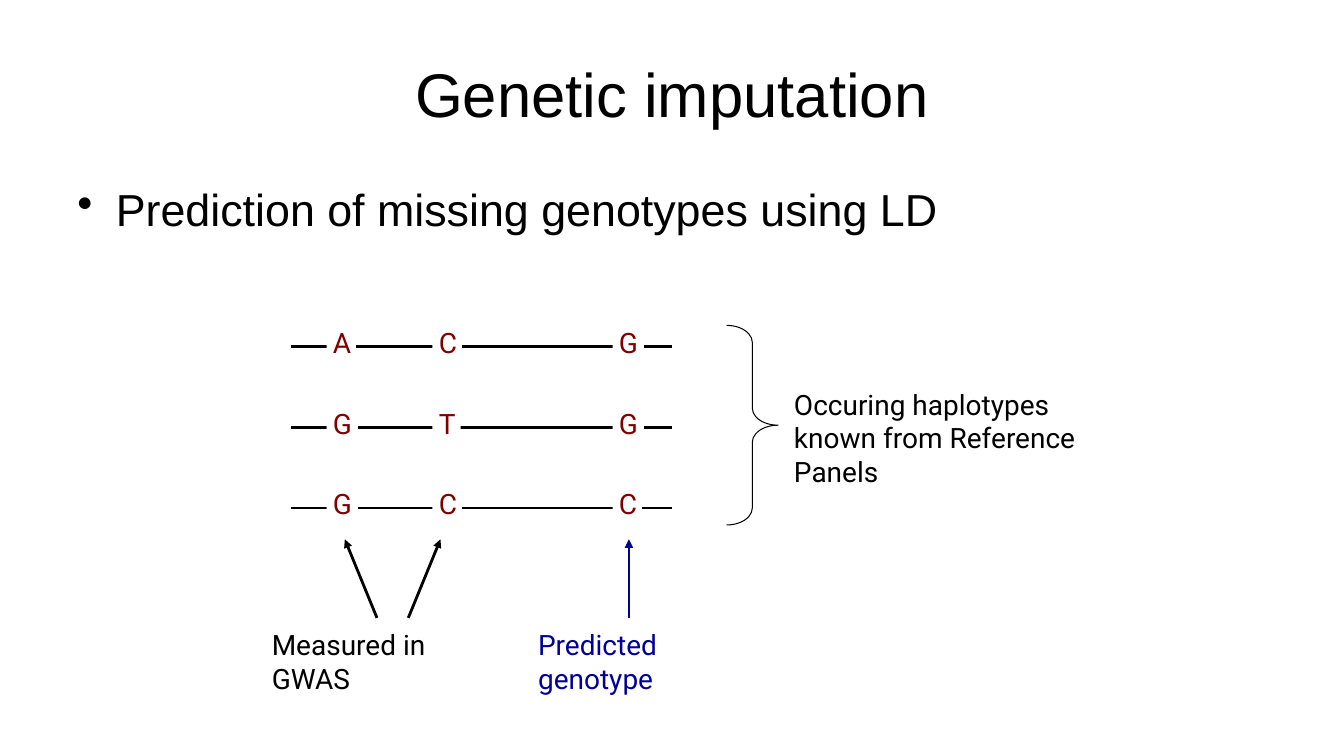
"""Build the slide that explains genetic imputation from reference haplotypes."""

import dataclasses
import typing

import lxml.etree
import pptx
import pptx.dml.color
import pptx.enum.shapes
import pptx.enum.text
import pptx.oxml.ns
import pptx.shapes.autoshape
import pptx.shapes.shapetree
import pptx.text.text
import pptx.util

Cm = pptx.util.Cm
Pt = pptx.util.Pt
qn = pptx.oxml.ns.qn
Shapes = pptx.shapes.shapetree.SlideShapes


@dataclasses.dataclass(frozen=True)
class Theme:
    """Colours, fonts and sizes of the slide."""

    ink: str = "000000"
    paper: str = "FFFFFF"
    allele: str = "800000"
    predicted: str = "000099"
    heading_font: str = "Arial"
    label_font: str = "Roboto"
    title_size: float = 44
    bullet_size: float = 32
    label_size: float = 20
    strand_width: float = 2
    brace_width: float = 0.75


@dataclasses.dataclass(frozen=True)
class Label:
    """A caption with its box in centimetres."""

    lines: tuple[str, ...]
    left: float
    top: float
    width: float
    height: float
    color: str


@dataclasses.dataclass(frozen=True)
class Arrow:
    """A pointer from a caption up to a marker."""

    start_x: float
    end_x: float
    color: str


THEME = Theme()
HAPLOTYPES = ("ACG", "GTG", "GCC")
MARKER_LEFTS = (8.23, 10.9, 15.44)
ALLELE_WIDTHS = {"A": 0.74, "C": 0.74, "G": 0.79, "T": 0.71}
STRAND_LEFT, STRAND_RIGHT = 7.34, 16.94
STRAND_TOP, STRAND_PITCH = 8.74, 2.03
ARROW_BOTTOM, ARROW_TOP = 15.57, 13.59
ARROWS = (
    Arrow(9.5, 8.69, THEME.ink),
    Arrow(10.29, 11.1, THEME.ink),
    Arrow(15.85, 15.85, THEME.predicted),
)
LABELS = (
    Label(("Measured in GWAS",), 6.6, 15.7, 4.83, 1.95, THEME.ink),
    Label(("Predicted genotype",), 13.31, 15.7, 4.83, 1.95, THEME.predicted),
    Label(("Occuring haplotypes", "known from Reference Panels"), 19.76, 9.63, 7.9, 2.8, THEME.ink),
)


def rgb(color: str) -> pptx.dml.color.RGBColor:
    """Turn a hex string into a colour."""
    return pptx.dml.color.RGBColor.from_string(color)


def write(
    frame: pptx.text.text.TextFrame,
    *lines: str,
    size: float = THEME.label_size,
    font: str = THEME.label_font,
    color: str = THEME.ink,
    align: pptx.enum.text.PP_ALIGN = pptx.enum.text.PP_ALIGN.LEFT,
    anchor: pptx.enum.text.MSO_ANCHOR = pptx.enum.text.MSO_ANCHOR.TOP,
    wrap: bool = True,
    bullet: typing.Optional[str] = None,
) -> None:
    """Fill a text frame with formatted paragraphs."""
    frame.word_wrap = wrap
    frame.vertical_anchor = anchor
    for index, line in enumerate(lines):
        paragraph = frame.add_paragraph() if index else frame.paragraphs[0]
        if bullet:
            properties = paragraph._p.get_or_add_pPr()
            properties.set("marL", str(Cm(0.97)))
            properties.set("indent", str(-Cm(0.97)))
            lxml.etree.SubElement(properties, qn("a:buChar"), char=bullet)
        paragraph.alignment = align
        run = paragraph.add_run()
        run.text = line
        run.font.size = Pt(size)
        run.font.name = font
        run.font.color.rgb = rgb(color)


def add_text(
    shapes: Shapes, left: float, top: float, width: float, height: float, *lines: str, **text_format: typing.Any
) -> None:
    """Place a text box and write in it."""
    box = shapes.add_textbox(Cm(left), Cm(top), Cm(width), Cm(height))
    write(box.text_frame, *lines, **text_format)


def add_line(
    shapes: Shapes, start: tuple[float, float], end: tuple[float, float], color: str, arrowhead: bool = False
) -> None:
    """Draw a straight line with an optional arrowhead at its end."""
    connector = shapes.add_connector(
        pptx.enum.shapes.MSO_CONNECTOR.STRAIGHT, Cm(start[0]), Cm(start[1]), Cm(end[0]), Cm(end[1])
    )
    connector.line.color.rgb = rgb(color)
    connector.line.width = Pt(THEME.strand_width)
    properties = connector._element.spPr
    if arrowhead:
        lxml.etree.SubElement(properties.find(qn("a:ln")), qn("a:tailEnd"), type="triangle")
    lxml.etree.SubElement(properties, qn("a:effectLst"))


def add_allele(shapes: Shapes, allele: str, left: float, top: float) -> None:
    """Set one allele letter on a strand."""
    marker = shapes.add_shape(
        pptx.enum.shapes.MSO_SHAPE.RECTANGLE, Cm(left), Cm(top), Cm(ALLELE_WIDTHS[allele]), Cm(1.12)
    )
    marker.shadow.inherit = False
    marker.fill.solid()
    marker.fill.fore_color.rgb = rgb(THEME.paper)
    marker.line.fill.background()
    frame = marker.text_frame
    frame.margin_left = frame.margin_right = Cm(0.16)
    frame.margin_top = frame.margin_bottom = Cm(0.13)
    write(frame, allele, color=THEME.allele, wrap=False)


def add_haplotype(shapes: Shapes, alleles: str, y: float) -> None:
    """Draw one strand with its alleles."""
    add_line(shapes, (STRAND_LEFT, y), (STRAND_RIGHT, y), THEME.ink)
    for allele, left in zip(alleles, MARKER_LEFTS):
        add_allele(shapes, allele, left, y - 0.66)


def add_brace(shapes: Shapes) -> None:
    """Draw the brace that gathers the haplotypes."""
    brace = shapes.add_shape(pptx.enum.shapes.MSO_SHAPE.RIGHT_BRACE, Cm(18.31), Cm(8.2), Cm(1.3), Cm(5.03))
    brace.adjustments[0] = 0.33
    brace.shadow.inherit = False
    brace.fill.background()
    brace.line.color.rgb = rgb(THEME.ink)
    brace.line.width = Pt(THEME.brace_width)


def main() -> None:
    """Assemble and save the slide."""
    presentation = pptx.Presentation()
    presentation.slide_width, presentation.slide_height = Cm(33.87), Cm(19.05)
    shapes = presentation.slides.add_slide(presentation.slide_layouts[6]).shapes
    add_text(
        shapes, 1.7, 0.76, 30.48, 3.18, "Genetic imputation",
        size=THEME.title_size, font=THEME.heading_font,
        align=pptx.enum.text.PP_ALIGN.CENTER, anchor=pptx.enum.text.MSO_ANCHOR.MIDDLE,
    )
    add_text(
        shapes, 1.7, 4.45, 30.48, 12.57, "Prediction of missing genotypes using LD",
        size=THEME.bullet_size, font=THEME.heading_font, bullet="•",
    )
    for row, alleles in enumerate(HAPLOTYPES):
        add_haplotype(shapes, alleles, STRAND_TOP + row * STRAND_PITCH)
    for arrow in ARROWS:
        add_line(shapes, (arrow.start_x, ARROW_BOTTOM), (arrow.end_x, ARROW_TOP), arrow.color, arrowhead=True)
    add_brace(shapes)
    for label in LABELS:
        add_text(shapes, label.left, label.top, label.width, label.height, *label.lines, color=label.color)
    presentation.save("out.pptx")


if __name__ == "__main__":
    main()
